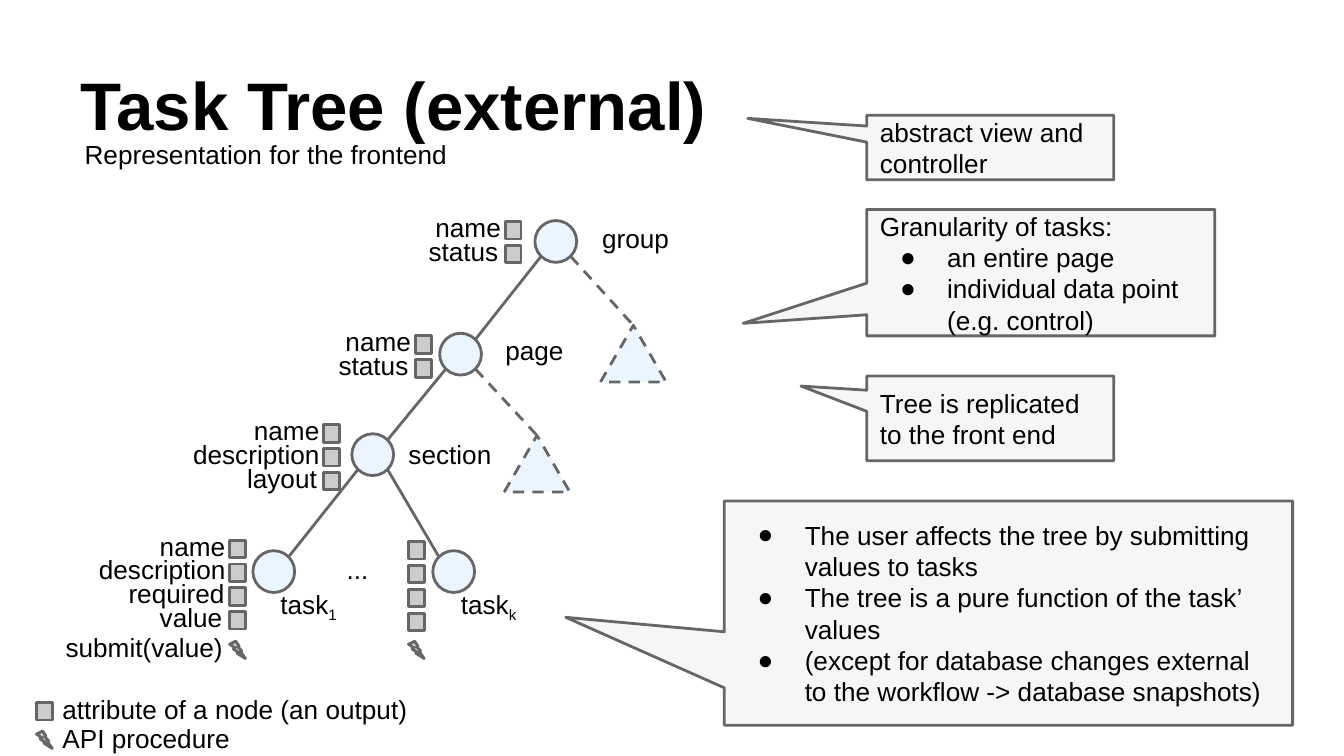
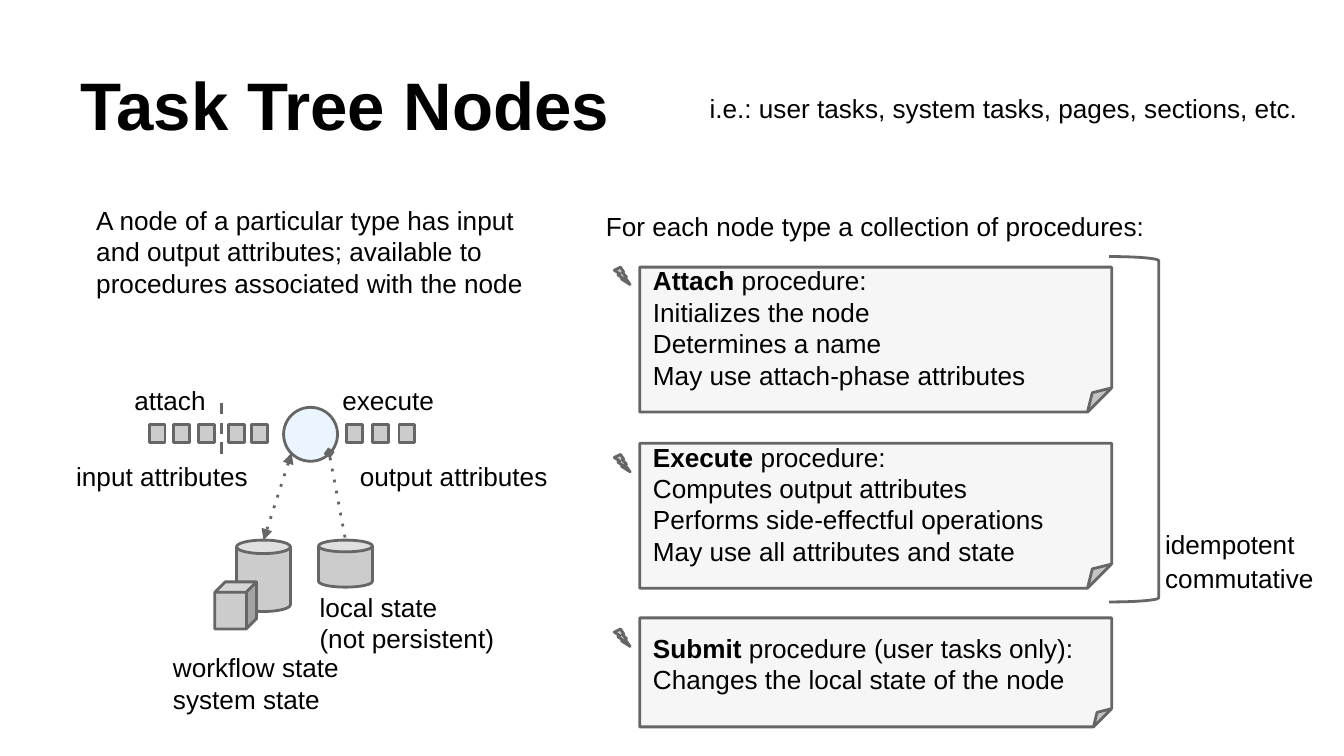
import pptx
import pptx.util
import pptx.dml.color
import pptx.enum.dml
import pptx.enum.shapes
import pptx.enum.text
import pptx.oxml.ns
from lxml import etree

Cm = pptx.util.Cm
MSO = pptx.enum.shapes.MSO_SHAPE
RGBColor = pptx.dml.color.RGBColor
qn = pptx.oxml.ns.qn

BLACK = RGBColor(0x00, 0x00, 0x00)
LINE = RGBColor(0x66, 0x66, 0x66)
NODE = RGBColor(0xEA, 0xF5, 0xFF)
GREY = RGBColor(0xCC, 0xCC, 0xCC)
PAPER = RGBColor(0xF6, 0xF6, 0xF6)
FONT = "Arial"
TITLE_BOX = (1.27, 0.58, 22.86, 2.39)
ICON = (0.3, 0.33)  # attribute square and procedure bolt
ROW = 0.45          # distance between attributes
LABEL_H = 1.22
BULLET = "● "


def add_box(s, kind, x, y, w, h, paras=(), fill=None, dash=False, size=14):
    """Add a preset shape, or a text box if kind is None.
    A paragraph is a string or a list of (text, style) runs."""
    box = Cm(x), Cm(y), Cm(w), Cm(h)
    if kind is None:
        sp = s.shapes.add_textbox(*box)
    else:
        sp = s.shapes.add_shape(kind, *box)
        sp.shadow.inherit = False
        sp.line.color.rgb = LINE
        sp.line.width = pptx.util.Pt(1.5)
        if dash:
            sp.line.dash_style = pptx.enum.dml.MSO_LINE.DASH
        if fill is None:
            sp.fill.background()
        else:
            sp.fill.solid()
            sp.fill.fore_color.rgb = fill
    if not paras:
        return sp
    tf = sp.text_frame
    tf.word_wrap = True
    tf.margin_left = tf.margin_right = tf.margin_top = tf.margin_bottom = Cm(0.25)
    anchor = pptx.enum.text.MSO_ANCHOR
    tf.vertical_anchor = anchor.TOP if kind is None else anchor.MIDDLE
    for i, para in enumerate(paras):
        p = tf.add_paragraph() if i else tf.paragraphs[0]
        p.alignment = pptx.enum.text.PP_ALIGN.LEFT
        runs = [(para, "")] if isinstance(para, str) else para
        if runs[0][0].startswith(BULLET):
            runs = [(runs[0][0][len(BULLET):], "")]
            pPr = p._p.get_or_add_pPr()
            pPr.set("marL", str(Cm(1.27)))
            pPr.set("indent", str(Cm(-0.89)))
            clr = etree.SubElement(pPr, qn("a:buClr"))
            etree.SubElement(clr, qn("a:srgbClr")).set("val", str(BLACK))
            etree.SubElement(pPr, qn("a:buFont")).set("typeface", FONT)
            etree.SubElement(pPr, qn("a:buChar")).set("char", BULLET.strip())
        for text, style in runs:
            r = p.add_run()
            r.text = text
            r.font.name = FONT
            r.font.size = pptx.util.Pt(size)
            r.font.color.rgb = BLACK
            r.font.bold = style == "bold"
            if style == "sub":
                r._r.get_or_add_rPr().set("baseline", "-25000")
    return sp


def add_line(s, x1, y1, x2, y2, dash=None, head=None, tail=None):
    """Add a straight line with an optional dash and end marks."""
    c = s.shapes.add_connector(pptx.enum.shapes.MSO_CONNECTOR.STRAIGHT,
                               Cm(x1), Cm(y1), Cm(x2), Cm(y2))
    c.line.color.rgb = LINE
    c.line.width = pptx.util.Pt(1.5)
    ln = c.line._get_or_add_ln()
    for tag, key, value in (("a:prstDash", "val", dash), ("a:headEnd", "type", head),
                            ("a:tailEnd", "type", tail)):
        if value:
            etree.SubElement(ln, qn(tag)).set(key, value)
    etree.SubElement(c._element.spPr, qn("a:effectLst"))


prs = pptx.Presentation()
prs.slide_width = Cm(25.4)
prs.slide_height = Cm(14.29)

# Slides and titles
slides = []
for title in ("Task Tree (external)", "Task Tree Nodes"):
    s = prs.slides.add_slide(prs.slide_layouts[6])
    sp = add_box(s, None, *TITLE_BOX, [[(title, "bold")]], size=36)
    sp.text_frame.vertical_anchor = pptx.enum.text.MSO_ANCHOR.BOTTOM
    slides.append(s)

# Slide 1: tree nodes
s = slides[0]
D = 0.79
nodes = {"group": (10.11, 4.17), "page": (8.31, 6.3), "section": (6.65, 8.2),
         "task1": (4.78, 10.41), "taskk": (8.18, 10.41)}
for x, y in nodes.values():
    add_box(s, MSO.OVAL, x, y, D, D, fill=NODE)

# Edges start and end on the diagonals of the circles
LOW, HIGH = D / 2 - 0.28, D / 2 + 0.28
for parent, child, side in (("group", "page", -1), ("page", "section", -1),
                            ("section", "task1", -1), ("section", "taskk", 1)):
    (px, py), (cx, cy) = nodes[parent], nodes[child]
    start, end = (LOW, HIGH) if side < 0 else (HIGH, LOW)
    add_line(s, px + start, py + HIGH, cx + end, cy + LOW)

# Collapsed subtrees
for parent, x, y in (("group", 11.35, 6.15), ("page", 9.53, 8.23)):
    add_box(s, MSO.ISOSCELES_TRIANGLE, x, y, 1.24, 1.07, fill=NODE, dash=True)
    px, py = nodes[parent]
    add_line(s, px + HIGH, py + HIGH, x + 0.62, y, dash="dash")

# Node names
for para, x, y, w in (("group", 11.13, 3.96, 2.03), ("page", 9.3, 6.07, 1.7),
                      ("section", 7.47, 8.03, 2.21), ("...", 6.3, 10.21, 1.12),
                      ([("task", ""), ("1", "sub")], 5.05, 10.87, 2.26),
                      ([("task", ""), ("k", "sub")], 8.46, 10.87, 2.51)):
    add_box(s, None, x, y, w, LABEL_H, [para])

# Attributes, each with its label on the left
label_w = {"name": 1.8, "status": 1.93, "description": 2.95, "layout": 1.93,
           "required": 2.39, "value": 1.8, "submit(value)": 3.58}
for x, y, labels in ((9.55, 4.19, ("name", "status")),
                     (7.85, 6.35, ("name", "status")),
                     (6.12, 8.03, ("name", "description", "layout")),
                     (4.34, 10.21, ("name", "description", "required", "value")),
                     (7.72, 10.24, (None,) * 4),
                     (4.34, 12.12, ("submit(value)",)),
                     (7.72, 12.12, (None,))):
    kind = MSO.LIGHTNING_BOLT if len(labels) == 1 else MSO.RECTANGLE
    for i, label in enumerate(labels):
        top = y + i * ROW
        add_box(s, kind, x, top, *ICON, fill=GREY)
        if label:
            w = label_w[label]
            add_box(s, None, x + 0.23 - w, top - 0.44, w, LABEL_H, [label])

# Callouts, with the tip given in thousandths of a percent from the centre
for x, y, w, h, tip, paras in (
        (16.38, 2.18, 4.67, 1.22, (-98100, -45100), ["abstract view and controller"]),
        (16.38, 3.96, 6.58, 2.39, (-85500, 40100),
         ["Granularity of tasks:", "● an entire page",
          "● individual data point (e.g. control)"]),
        (16.38, 7.11, 4.67, 1.6, (-76600, -38200), ["Tree is replicated to the front end"]),
        (13.69, 9.47, 10.74, 4.24, (-77900, 1900),
         ["● The user affects the tree by submitting values to tasks",
          "● The tree is a pure function of the task’ values",
          "● (except for database changes external to the workflow"
          " -> database snapshots)"])):
    sp = add_box(s, MSO.RECTANGULAR_CALLOUT, x, y, w, h, paras, PAPER)
    avLst = sp._element.spPr.find(qn("a:prstGeom")).find(qn("a:avLst"))
    for gd in list(avLst):
        avLst.remove(gd)
    for name, value in zip(("adj1", "adj2"), tip):
        gd = etree.SubElement(avLst, qn("a:gd"))
        gd.set("name", name)
        gd.set("fmla", f"val {value}")

# Legend and subtitle
for kind, y, label in ((MSO.RECTANGLE, 13.28, "attribute of a node (an output)"),
                       (MSO.LIGHTNING_BOLT, 13.82, "API procedure")):
    add_box(s, kind, 0.69, y, *ICON, fill=GREY)
    add_box(s, None, 0.93, y - 0.42, 7.16, LABEL_H, [label])
add_box(s, None, 1.35, 2.36, 8.86, 1.07, ["Representation for the frontend"])

# Slide 2: node with its attributes
s = slides[1]
add_box(s, MSO.OVAL, 5.36, 7.7, 1.02, 1.02, fill=NODE)
for x in (2.82, 3.28, 3.76, 4.32, 4.75, 6.55, 7.04, 7.54):
    add_box(s, MSO.RECTANGLE, x, 8.03, *ICON, fill=GREY)
add_line(s, 4.19, 7.62, 4.19, 8.66, dash="dash")

# State stores
for kind, x, y, w, h in ((MSO.CAN, 4.47, 10.21, 1.02, 1.35),
                         (MSO.CUBE, 4.06, 11, 0.79, 0.89),
                         (MSO.CAN, 6.02, 10.21, 1.02, 0.89)):
    add_box(s, kind, x, y, w, h, fill=GREY)
add_line(s, 5.51, 8.56, 4.98, 10.21, dash="dot", head="triangle", tail="triangle")
add_line(s, 6.22, 8.56, 6.53, 10.21, dash="dot", head="diamond")

# Procedures
for y, h, bolt_y, name, rest, lines in (
        (5.05, 2.74, 5.05, "Attach", " procedure:",
         ["Initializes the node", "Determines a name", "May use attach-phase attributes"]),
        (8.38, 2.74, 8.59, "Execute", " procedure:",
         ["Computes output attributes", "Performs side-effectful operations",
          "May use all attributes and state"]),
        (11.68, 2.06, 11.89, "Submit", " procedure (user tasks only):",
         ["Changes the local state of the node"])):
    add_box(s, MSO.FOLDED_CORNER, 12.09, y, 8.92, h,
            [[(name, "bold"), (rest, "")]] + lines, PAPER)
    add_box(s, MSO.LIGHTNING_BOLT, 11.61, bolt_y, *ICON, fill=GREY)
add_box(s, MSO.RIGHT_BRACKET, 20.96, 4.85, 0.94, 6.53)

# Texts
for x, y, w, h, paras in (
        (13.16, 1.5, 12.14, 1.04, ["i.e.: user tasks, system tasks, pages, sections, etc."]),
        (1.57, 3.61, 9.22, 2.74, ["A node of a particular type has input and output "
                                  "attributes; available to procedures associated "
                                  "with the node"]),
        (11.2, 3.73, 11.1, 1.04, ["For each node type a collection of procedures:"]),
        (2.29, 7.01, 1.91, 1.02, ["attach"]),
        (6.22, 7.01, 2.49, 1.02, ["execute"]),
        (1.19, 8.46, 4.09, 1.02, ["input attributes"]),
        (6.55, 8.46, 4.52, 1.02, ["output attributes"]),
        (5.79, 10.92, 4.29, 1.5, ["local state", "(not persistent)"]),
        (3.02, 12.07, 3.94, 1.65, ["workflow state", "system state"]),
        (21.77, 9.73, 3.51, 1.02, ["idempotent"]),
        (21.77, 10.39, 3.51, 1.02, ["commutative"])):
    add_box(s, None, x, y, w, h, paras)

prs.save("out.pptx")
